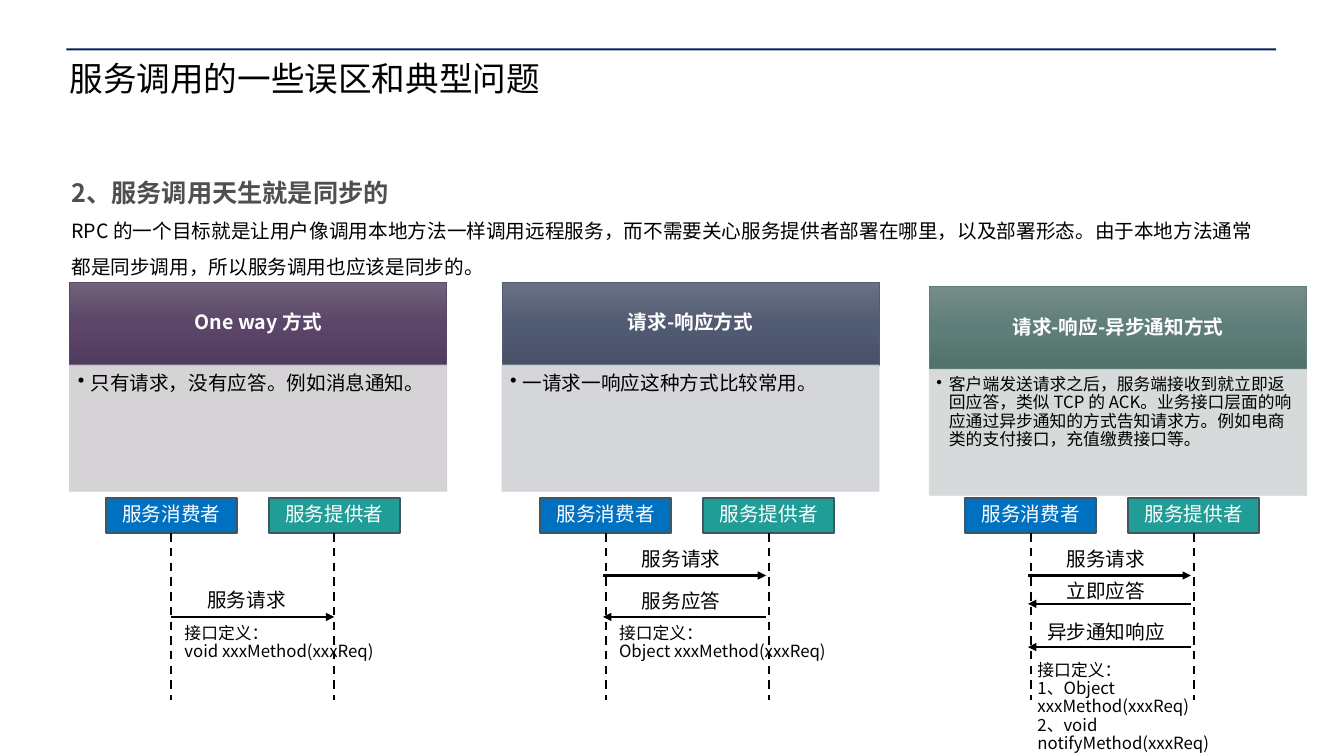
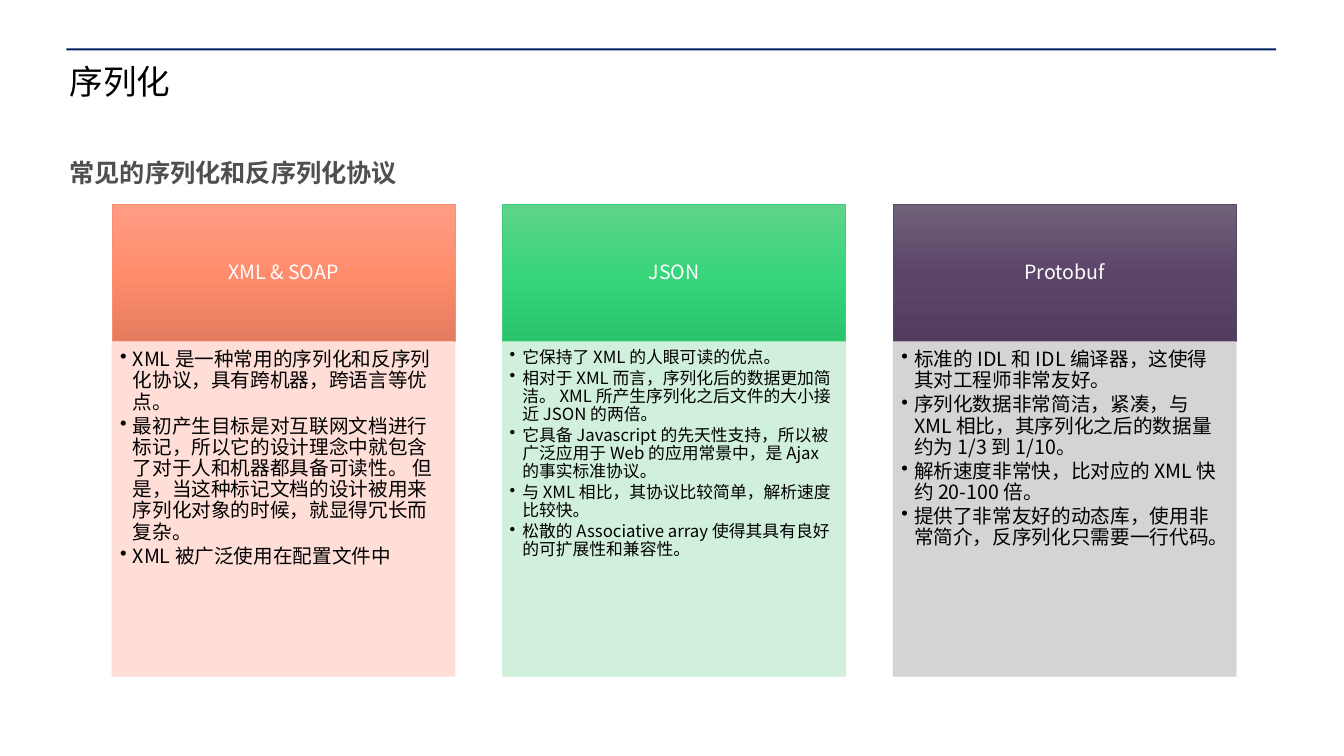
from copy import deepcopy

from lxml.etree import SubElement
from pptx import Presentation
from pptx.dml.color import RGBColor
from pptx.enum.dml import MSO_LINE
from pptx.enum.shapes import MSO_CONNECTOR, MSO_SHAPE
from pptx.enum.text import MSO_ANCHOR, PP_ALIGN
from pptx.oxml.ns import qn
from pptx.util import Pt

RECTANGLE = MSO_SHAPE.RECTANGLE
STRAIGHT = MSO_CONNECTOR.STRAIGHT
DASH = MSO_LINE.DASH
LEFT, CENTER = PP_ALIGN.LEFT, PP_ALIGN.CENTER
TOP, MIDDLE = MSO_ANCHOR.TOP, MSO_ANCHOR.MIDDLE

FONT = "Noto Sans CJK SC"
BLACK = RGBColor(0x00, 0x00, 0x00)
WHITE = RGBColor(0xFF, 0xFF, 0xFF)
NAVY = RGBColor(0x00, 0x20, 0x60)
HEADING_GRAY = RGBColor(0x4F, 0x4F, 0x4F)
CONSUMER_BLUE = RGBColor(0x00, 0x70, 0xC0)
PROVIDER_TEAL = RGBColor(0x20, 0x9D, 0x97)
SLATE = RGBColor(0x42, 0x55, 0x63)

PURPLE_STOPS = (RGBColor(0x70, 0x62, 0x7A), RGBColor(0x5B, 0x45, 0x69), RGBColor(0x52, 0x3C, 0x5E))
BLUE_STOPS = (RGBColor(0x6B, 0x71, 0x83), RGBColor(0x52, 0x5B, 0x74), RGBColor(0x48, 0x51, 0x68))
SAGE_STOPS = (RGBColor(0x75, 0x8C, 0x88), RGBColor(0x60, 0x7E, 0x79), RGBColor(0x54, 0x72, 0x6C))
CORAL_STOPS = (RGBColor(0xFF, 0x9C, 0x83), RGBColor(0xFF, 0x8D, 0x6D), RGBColor(0xE5, 0x7C, 0x5F))
GREEN_STOPS = (RGBColor(0x5E, 0xD4, 0x8B), RGBColor(0x38, 0xD5, 0x7A), RGBColor(0x2A, 0xC5, 0x6B))
PURPLE = (PURPLE_STOPS, RGBColor(0x5B, 0x47, 0x67), RGBColor(0xD2, 0xCF, 0xD3))
BLUE = (BLUE_STOPS, RGBColor(0x54, 0x5C, 0x72), RGBColor(0xD1, 0xD2, 0xD5))
SAGE = (SAGE_STOPS, RGBColor(0x61, 0x7D, 0x78), RGBColor(0xD3, 0xD7, 0xD6))
CORAL = (CORAL_STOPS, RGBColor(0xFF, 0x8D, 0x6D), RGBColor(0xFF, 0xDB, 0xD4))
GREEN = (GREEN_STOPS, RGBColor(0x3F, 0xCE, 0x7B), RGBColor(0xCC, 0xEF, 0xD9))


def add_box(slide, left, top, width, height, fill, outline=None, weight=0.5):
    box = slide.shapes.add_shape(RECTANGLE, Pt(left), Pt(top), Pt(width), Pt(height))
    box.shadow.inherit = False
    box.fill.solid()
    box.fill.fore_color.rgb = fill
    if outline is None:
        box.line.fill.background()
    else:
        box.line.color.rgb = outline
        box.line.width = Pt(weight)
    return box


def write(shape, text, size, color=BLACK, bold=False, align=LEFT, anchor=TOP,
          spacing=0.9, insets=(0, 0, 0, 0), wrap=True):
    frame = shape.text_frame
    frame.text = text
    frame.word_wrap = wrap
    frame.vertical_anchor = anchor
    frame.margin_left, frame.margin_top, frame.margin_right, frame.margin_bottom = map(Pt, insets)
    for paragraph in frame.paragraphs:
        paragraph.alignment = align
        paragraph.line_spacing = spacing
        for run in paragraph.runs:
            run.font.size = Pt(size)
            run.font.bold = bold
            run.font.color.rgb = color
            run.font.name = FONT
    for properties in shape.element.iter(qn("a:rPr")):
        SubElement(properties, qn("a:ea"), typeface=FONT)


prs = Presentation()
prs.slide_width, prs.slide_height = Pt(960), Pt(540)
layout = prs.slide_layouts.get_by_name("Title Only")

slides = []
for heading, top in (("服务调用的一些误区和典型问题", 44.6), ("序列化", 46.8)):
    slide = prs.slides.add_slide(layout)
    title = slide.shapes.title
    title.left, title.top, title.width, title.height = Pt(49.7), Pt(top), Pt(863), Pt(67)
    write(title, heading, 24)
    slides.append(slide)
calls, serialization = slides

top_rule = add_box(calls, 47.5, 34.6, 864, 1.4, NAVY)
top_rule.element.nvSpPr.cNvPr.set("id", "20")
layout.shapes.element.append(top_rule.element)

call_cards = (
    (49.7, 201.6, PURPLE, "One way 方式", 14, ("只有请求，没有应答。例如消息通知。",)),
    (358.5, 201.6, BLUE, "请求-响应方式", 14, ("一请求一响应这种方式比较常用。",)),
    (663.8, 204.5, SAGE, "请求-响应-异步通知方式", 12, (
        "客户端发送请求之后，服务端接收到就立即返回应答，类似 TCP 的 ACK。业务接口层面的响应通过异步通知的方式告知请求方。例如电商类的支付接口，充值缴费接口等。",)),
)
protocol_cards = (
    (80, 146, CORAL, "XML & SOAP", 14, (
        "XML 是一种常用的序列化和反序列化协议，具有跨机器，跨语言等优点。",
        "最初产生目标是对互联网文档进行标记，所以它的设计理念中就包含了对于人和机器都具备可读性。 但是，当这种标记文档的设计被用来序列化对象的时候，就显得冗长而复杂。",
        "XML 被广泛使用在配置文件中")),
    (359, 146, GREEN, "JSON", 12, (
        "它保持了 XML 的人眼可读的优点。",
        "相对于 XML 而言，序列化后的数据更加简洁。 XML 所产生序列化之后文件的大小接近 JSON 的两倍。",
        "它具备 Javascript 的先天性支持，所以被广泛应用于 Web 的应用常景中，是 Ajax 的事实标准协议。",
        "与 XML 相比，其协议比较简单，解析速度比较快。",
        "松散的 Associative array 使得其具有良好的可扩展性和兼容性。")),
    (638, 146, PURPLE, "Protobuf", 14, (
        "标准的 IDL 和 IDL 编译器，这使得其对工程师非常友好。",
        "序列化数据非常简洁，紧凑，与 XML 相比，其序列化之后的数据量约为 1/3 到 1/10。",
        "解析速度非常快，比对应的 XML 快约 20-100 倍。",
        "提供了非常友好的动态库，使用非常简介，反序列化只需要一行代码。")),
)
card_rows = (
    (calls, 269.5, 59.2, 90.2, True, call_cards),
    (serialization, 245, 98, 239, False, protocol_cards),
)

for slide, width, header_height, body_height, bold, cards in card_rows:
    for left, top, (stops, outline, tint), name, size, points in cards:
        header = add_box(slide, left, top, width, header_height, stops[0], outline)
        header.fill.gradient()
        header.fill.gradient_angle = 270
        stop_list = header.element.spPr.find(".//" + qn("a:gsLst"))
        stop_list.append(deepcopy(stop_list[0]))
        for stop, color, position in zip(header.fill.gradient_stops, stops, (0, 0.5, 1)):
            stop.color.rgb = color
            stop.position = position
        write(header, name, 14, WHITE, bold, CENTER, MIDDLE, insets=(8, 4, 8, 4))

        body = add_box(slide, left, top + header_height, width, body_height, tint, tint)
        for color in body.element.spPr.iter(qn("a:srgbClr")):
            SubElement(color, qn("a:alpha"), val="90000")
        write(body, "\n".join(points), size, insets=(size * 0.42, size * 0.42, size * 0.55, size * 0.6))
        for paragraph in body.text_frame.paragraphs:
            paragraph.space_after = Pt(2)
        for properties in body.element.iter(qn("a:pPr")):
            properties.set("marL", str(Pt(9)))
            properties.set("indent", str(Pt(-9)))
            SubElement(properties, qn("a:buChar"), char="•")

LIFELINE_TOP, LIFELINE_BOTTOM = 380.9, 499.7
PARTICIPANT_WIDTH, PARTICIPANT_HEIGHT, PARTICIPANT_STEP = 93.6, 25.2, 116.4
sequences = (
    (75.6, 0, (("服务请求", 422, 440.7, True),),
     9.4, 446.4, "接口定义：\nvoid xxxMethod(xxxReq)"),
    (386, -2, (("服务请求", 392.4, 411.1, True), ("服务应答", 422.6, 440.7, False)),
     9.4, 446.4, "接口定义：\nObject xxxMethod(xxxReq)"),
    (689.5, -2, (("服务请求", 392.4, 411.1, True), ("立即应答", 415.4, 431.3, False),
                 ("异步通知响应", 445, 462.2, False)),
     4.8, 473, "接口定义：\n1、Object xxxMethod(xxxReq)\n2、void notifyMethod(xxxReq)"),
)

for left, shift, messages, indent, definition_top, definition in sequences:
    consumer_x = left + PARTICIPANT_WIDTH / 2
    provider_x = consumer_x + PARTICIPANT_STEP
    for index, (role, color) in enumerate((("服务消费者", CONSUMER_BLUE), ("服务提供者", PROVIDER_TEAL))):
        participant = add_box(calls, left + index * PARTICIPANT_STEP, LIFELINE_TOP - PARTICIPANT_HEIGHT,
                              PARTICIPANT_WIDTH, PARTICIPANT_HEIGHT, color, SLATE, 1.5)
        write(participant, role, 14, WHITE, align=CENTER, anchor=MIDDLE)

    paths = [(x, LIFELINE_TOP, x, LIFELINE_BOTTOM, False) for x in (consumer_x, provider_x)]
    for label, label_top, arrow_y, is_request in messages:
        start, end = (consumer_x, provider_x) if is_request else (provider_x, consumer_x)
        paths.append((start + shift, arrow_y, end + shift, arrow_y, True))
        message = calls.shapes.add_textbox(Pt(consumer_x), Pt(label_top), Pt(PARTICIPANT_STEP - 9), Pt(18))
        write(message, label, 14, align=CENTER)

    for start_x, start_y, end_x, end_y, is_arrow in paths:
        connector = calls.shapes.add_connector(STRAIGHT, Pt(start_x), Pt(start_y), Pt(end_x), Pt(end_y))
        connector.line.color.rgb = BLACK
        connector.line.width = Pt(1.5)
        if is_arrow:
            SubElement(connector.element.spPr.find(qn("a:ln")), qn("a:tailEnd"), type="triangle")
        else:
            connector.line.dash_style = DASH
        SubElement(connector.element.spPr, qn("a:effectLst"))

    interface = calls.shapes.add_textbox(Pt(consumer_x + indent), Pt(definition_top), Pt(149), Pt(38))
    write(interface, definition, 12, wrap=False)

misconception = calls.shapes.add_textbox(Pt(43.9), Pt(112.3), Pt(864.7), Pt(116.6))
write(misconception,
      "2、服务调用天生就是同步的\nRPC 的一个目标就是让用户像调用本地方法一样调用远程服务，而不需要关心服务提供者部署在哪里，以及部署形态。由于本地方法通常都是同步调用，所以服务调用也应该是同步的。",
      14, spacing=1.5, insets=(7.2, 3.6, 7.2, 3.6))
for run in misconception.text_frame.paragraphs[0].runs:
    run.font.size = Pt(18)
    run.font.bold = True
    run.font.color.rgb = HEADING_GRAY

protocols_heading = serialization.shapes.add_textbox(Pt(49.7), Pt(101.5), Pt(863), Pt(44.6))
write(protocols_heading, "常见的序列化和反序列化协议", 18, HEADING_GRAY, True, spacing=1.5)

prs.save("out.pptx")
